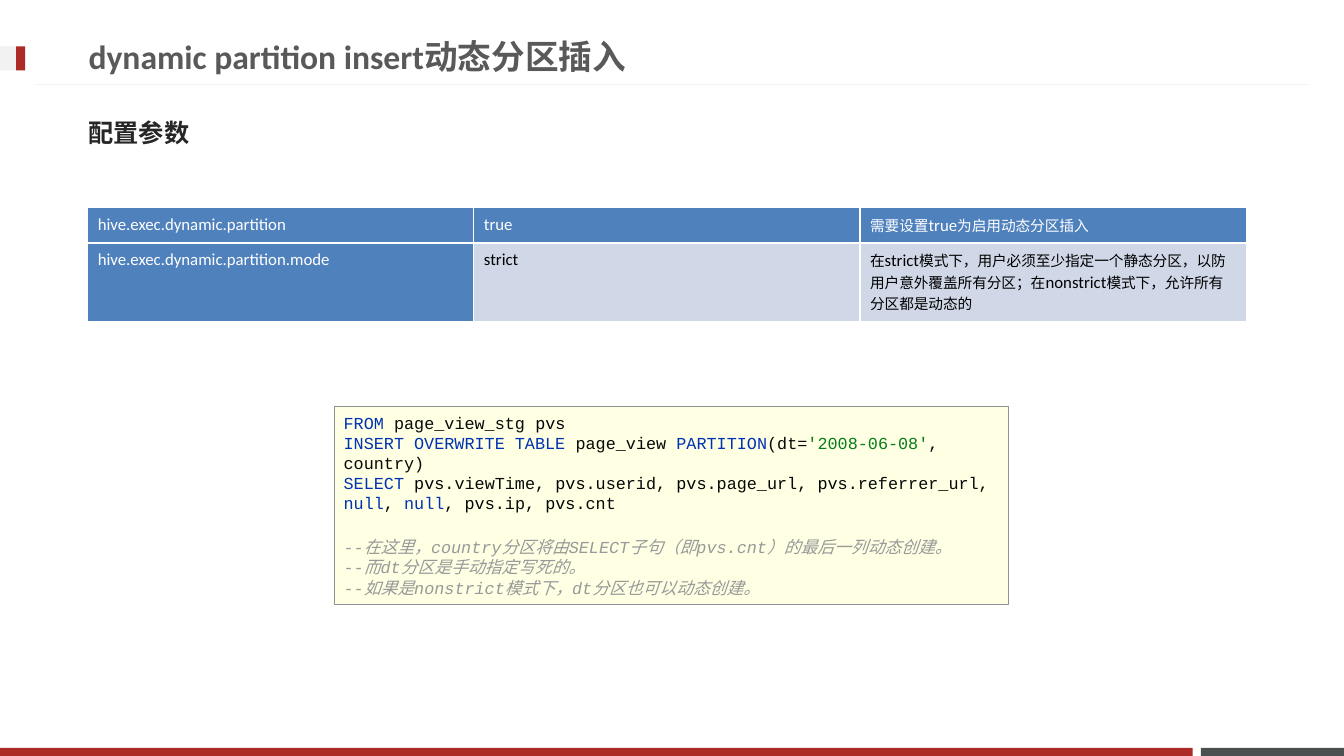
from itertools import groupby
from typing import NamedTuple

from lxml.etree import SubElement
from pptx import Presentation
from pptx.dml.color import RGBColor
from pptx.enum.shapes import MSO_CONNECTOR, MSO_SHAPE
from pptx.enum.text import MSO_ANCHOR, PP_ALIGN
from pptx.oxml.ns import qn
from pptx.util import Inches, Pt

COLORS = {
    "red": "AD2B26", "slate": "49504F", "pale": "F2F2F2", "white": "FFFFFF",
    "title": "595959", "heading": "262626", "black": "000000",
    "header": "4F81BD", "band": "D0D8E8",
    "code_fill": "FFFFE4", "code_line": "919191",
    "keyword": "0033B3", "plain": "080808", "string": "067D17", "comment": "999999",
}
LATIN, MONO, CJK = "Calibri", "Courier New", "Noto Sans CJK JP"


class Bar(NamedTuple):
    left: float
    top: float
    width: float
    height: float
    color: str


class Style(NamedTuple):
    size: float
    color: str
    font: str = LATIN
    bold: bool = False
    italic: bool = False


class Span(NamedTuple):
    text: str
    style: Style


class Heading(NamedTuple):
    top: float
    width: float
    text: str
    style: Style


BARS = [
    Bar(11.91, 7.42, 1.42, 0.08, "slate"),
    Bar(0, 7.42, 11.83, 0.08, "red"),
    Bar(0, 0.46, 0.25, 0.24, "pale"),
    Bar(0.16, 0.46, 0.09, 0.24, "red"),
]
HEADINGS = [
    Heading(0.27, 9.59, "dynamic partition insert动态分区插入", Style(24, "title", bold=True)),
    Heading(1.03, 11.76, "配置参数", Style(18, "heading", CJK, bold=True)),
]
PARAMETERS = [
    ["hive.exec.dynamic.partition", "true", "需要设置true为启用动态分区插入"],
    ["hive.exec.dynamic.partition.mode", "strict",
     "在strict模式下，用户必须至少指定一个静态分区，以防用户意外覆盖所有分区；"
     "在nonstrict模式下，允许所有分区都是动态的"],
]
ROW_HEIGHTS = [0.35, 0.78]

KEYWORD, PLAIN, ALIAS, STRING = (
    Style(12, color, MONO) for color in ("keyword", "plain", "black", "string"))
PVS = Span("pvs", ALIAS)
NULL = Span("null", KEYWORD)
COMMA = Span(", ", PLAIN)
QUERY = [
    [Span("FROM ", KEYWORD), Span("page_view_stg ", PLAIN), PVS],
    [Span("INSERT OVERWRITE TABLE ", KEYWORD), Span("page_view ", PLAIN),
     Span("PARTITION", KEYWORD), Span("(dt=", PLAIN),
     Span("'2008-06-08'", STRING), Span(", country)", PLAIN)],
    [Span("SELECT ", KEYWORD), PVS, Span(".viewTime, ", PLAIN), PVS,
     Span(".userid, ", PLAIN), PVS, Span(".page_url, ", PLAIN), PVS,
     Span(".referrer_url, ", PLAIN), NULL, COMMA, NULL, COMMA, PVS,
     Span(".ip, ", PLAIN), PVS, Span(".cnt", PLAIN)],
]
COMMENTS = [
    "--在这里，country分区将由SELECT子句（即pvs.cnt）的最后一列动态创建。",
    "--而dt分区是手动指定写死的。",
    "--如果是nonstrict模式下，dt分区也可以动态创建。",
]


def rgb(name: str) -> RGBColor:
    return RGBColor.from_string(COLORS[name])


def split_scripts(text: str, latin: Style, chinese: Style) -> list[Span]:
    """Cut mixed text into spans, one style for ASCII and one for Chinese."""
    return [Span("".join(chars), latin if is_ascii else chinese)
            for is_ascii, chars in groupby(text, str.isascii)]


def write_lines(paragraph, lines: list[list[Span]]) -> None:
    """Fill a paragraph with styled spans, with a line break between lines."""
    paragraph.alignment = PP_ALIGN.LEFT
    for index, line in enumerate(lines):
        if index:
            paragraph.add_line_break()
        for span in line:
            run = paragraph.add_run()
            run.text = span.text
            font, style = run.font, span.style
            font.size, font.name = Pt(style.size), style.font
            font.bold, font.italic = style.bold, style.italic
            font.color.rgb = rgb(style.color)
            SubElement(font._element, qn("a:ea"), typeface=CJK)


def add_box(slide, bar: Bar):
    box = slide.shapes.add_shape(
        MSO_SHAPE.RECTANGLE, *(Inches(length) for length in bar[:4]))
    box.shadow.inherit = False
    box.fill.solid()
    box.fill.fore_color.rgb = rgb(bar.color)
    box.line.fill.background()
    return box


def add_title_rule(slide) -> None:
    rule = slide.shapes.add_connector(
        MSO_CONNECTOR.STRAIGHT, Inches(0.35), Inches(0.84), Inches(12.98), Inches(0.84))
    rule.line.color.rgb = rgb("pale")
    rule.line.width = Pt(0.75)
    SubElement(rule._element.spPr, qn("a:effectLst"))


def add_heading(slide, heading: Heading) -> None:
    frame = slide.shapes.add_textbox(
        Inches(0.78), Inches(heading.top), Inches(heading.width), Inches(0.57)).text_frame
    frame.word_wrap = True
    frame.vertical_anchor = MSO_ANCHOR.MIDDLE
    write_lines(frame.paragraphs[0], [[Span(heading.text, heading.style)]])


def add_white_borders(cell) -> None:
    properties = cell._tc.get_or_add_tcPr()
    for side in ("lnL", "lnR", "lnT", "lnB"):
        border = SubElement(properties, qn(f"a:{side}"), w=str(Pt(1)))
        SubElement(SubElement(border, qn("a:solidFill")), qn("a:srgbClr"), val=COLORS["white"])


def add_parameter_table(slide) -> None:
    table = slide.shapes.add_table(
        len(PARAMETERS), len(PARAMETERS[0]), Inches(0.87), Inches(2.06),
        Inches(11.49), Inches(sum(ROW_HEIGHTS))).table
    table.first_row = table.horz_banding = False
    for row, (texts, height) in enumerate(zip(PARAMETERS, ROW_HEIGHTS)):
        table.rows[row].height = Inches(height)
        for column, text in enumerate(texts):
            cell = table.cell(row, column)
            is_header = row == 0 or column == 0
            cell.margin_top = cell.margin_bottom = Inches(0.07)
            add_white_borders(cell)
            cell.fill.solid()
            cell.fill.fore_color.rgb = rgb("header" if is_header else "band")
            color = "white" if is_header else "black"
            spans = split_scripts(text, Style(12, color), Style(10.5, color))
            write_lines(cell.text_frame.paragraphs[0], [spans])


def add_code_box(slide) -> None:
    box = add_box(slide, Bar(3.31, 4.03, 6.69, 1.96, "code_fill"))
    box.line.color.rgb = rgb("code_line")
    box.line.width = Pt(0.25)
    frame = box.text_frame
    frame.word_wrap = True
    frame.vertical_anchor = MSO_ANCHOR.MIDDLE
    write_lines(frame.paragraphs[0], QUERY)
    comments = frame.add_paragraph()
    comments.space_before = Pt(17)
    latin = Style(12, "comment", MONO, italic=True)
    chinese = latin._replace(font=LATIN)
    write_lines(comments, [split_scripts(line, latin, chinese) for line in COMMENTS])


def main() -> None:
    deck = Presentation()
    deck.slide_width, deck.slide_height = Inches(13.33), Inches(7.5)
    slide = deck.slides.add_slide(deck.slide_layouts[6])
    for bar in BARS:
        add_box(slide, bar)
    add_title_rule(slide)
    for heading in HEADINGS:
        add_heading(slide, heading)
    add_parameter_table(slide)
    add_code_box(slide)
    deck.save("out.pptx")


if __name__ == "__main__":
    main()
